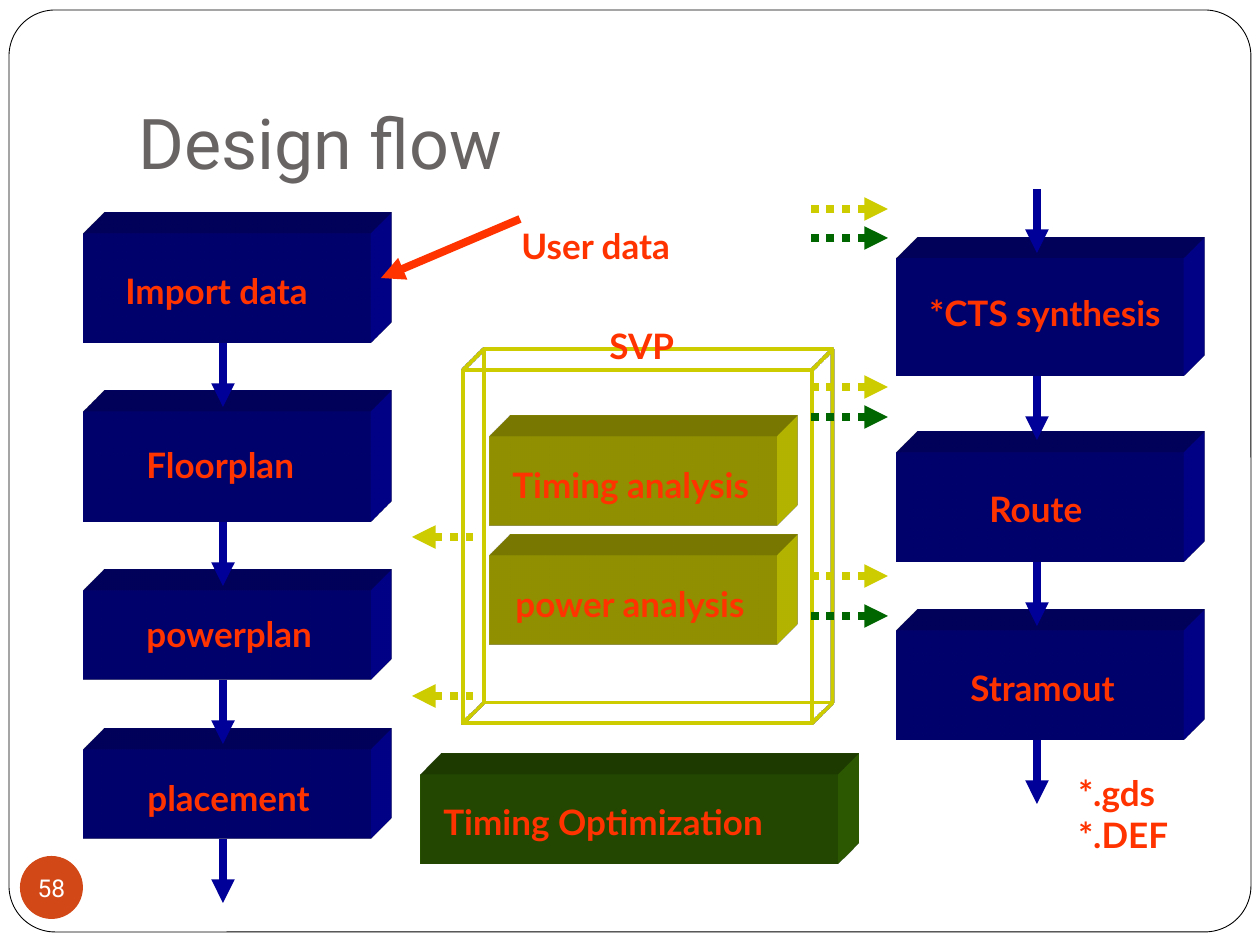
from dataclasses import dataclass

import pptx
import pptx.dml.color
import pptx.enum.dml
import pptx.enum.shapes
import pptx.enum.text
import pptx.oxml
import pptx.oxml.ns
import pptx.util
from lxml import etree

SCALE = 914400 / 126  # EMU per px
SHAPES = pptx.enum.shapes.MSO_SHAPE
ANCHOR = pptx.enum.text.MSO_ANCHOR
ALIGN = pptx.enum.text.PP_ALIGN


@dataclass(frozen=True)
class Theme:
    paper: str = "FFFFFF"
    ink: str = "000000"
    title: str = "696464"
    badge: str = "D34817"
    label: str = "FF3300"
    step: str = "000099"
    analysis: str = "CCCC00"
    optimization: str = "336600"
    feedback: str = "006600"
    title_font: str = "Roboto"
    label_font: str = "Lato"
    title_size: int = 40
    label_size: int = 20
    badge_size: int = 14


def px(length):
    return pptx.util.Emu(round(length * SCALE))


def rgb(color):
    return pptx.dml.color.RGBColor.from_string(color)


def write(frame, text, *, font, size, color, bold=False, align=ALIGN.LEFT,
          anchor=ANCHOR.TOP, wrap=False, margins=(0.1, 0.05, 0.1, 0.05)):
    frame.word_wrap = wrap
    frame.vertical_anchor = anchor
    (frame.margin_left, frame.margin_top, frame.margin_right,
     frame.margin_bottom) = map(pptx.util.Inches, margins)
    frame.text = text
    for paragraph in frame.paragraphs:
        paragraph.alignment = align
        paragraph.font.name = font
        paragraph.font.size = pptx.util.Pt(size)
        paragraph.font.bold = bold
        paragraph.font.color.rgb = rgb(color)


def extrude(shape, color, material):
    """Give the shape an oblique depth towards the top right."""
    namespace = pptx.oxml.ns.nsdecls("a")
    properties = shape.element.spPr
    properties.append(pptx.oxml.parse_xml(
        f'<a:scene3d {namespace}><a:camera prst="legacyObliqueTopRight"/>'
        '<a:lightRig rig="legacyFlat3" dir="b"/></a:scene3d>'))
    properties.append(pptx.oxml.parse_xml(
        f'<a:sp3d {namespace} extrusionH="430200" prstMaterial="{material}">'
        '<a:bevelT w="13500" h="13500" prst="angle"/>'
        '<a:bevelB w="13500" h="13500" prst="angle"/>'
        f'<a:extrusionClr><a:srgbClr val="{color}"/></a:extrusionClr></a:sp3d>'))


class FlowSlide:
    def __init__(self, slide, theme):
        self.slide = slide
        self.theme = theme

    def shape(self, kind, left, top, width, height, fill=None, line=None, line_width=1):
        shape = self.slide.shapes.add_shape(kind, px(left), px(top), px(width), px(height))
        shape.shadow.inherit = False
        if fill:
            shape.fill.solid()
            shape.fill.fore_color.rgb = rgb(fill)
        else:
            shape.fill.background()
        if line:
            shape.line.color.rgb = rgb(line)
            shape.line.width = pptx.util.Pt(line_width)
        else:
            shape.line.fill.background()
        return shape

    def title(self, text, left, top, width, height):
        title = self.slide.shapes.title
        title.left, title.top, title.width, title.height = map(px, (left, top, width, height))
        write(title.text_frame, text, font=self.theme.title_font,
              size=self.theme.title_size, color=self.theme.title,
              anchor=ANCHOR.BOTTOM, wrap=True, margins=(0.1, 0.05, 0.1, 0.1))

    def border(self, left, top, width, height):
        border = self.shape(SHAPES.ROUNDED_RECTANGLE, left, top, width, height,
                            self.theme.paper, self.theme.ink, 0.5)
        border.adjustments[0] = 0.05
        self.slide.shapes.title.element.addprevious(border.element)

    def badge(self, text, left, top, size):
        badge = self.shape(SHAPES.OVAL, left, top, size, size, self.theme.badge)
        write(badge.text_frame, text, font=self.theme.title_font,
              size=self.theme.badge_size, color=self.theme.paper,
              align=ALIGN.CENTER, anchor=ANCHOR.MIDDLE, margins=(0, 0, 0, 0))

    def block(self, left, top, width, height, color):
        block = self.shape(SHAPES.RECTANGLE, left, top, width, height, color)
        extrude(block, color, "legacyMatrix")

    def wireframe(self, left, top, width, height, color):
        frame = self.shape(SHAPES.RECTANGLE, left, top, width, height,
                           line=color, line_width=2.25)
        extrude(frame, color, "legacyWireframe")

    def label(self, text, left, top, width, height=54):
        box = self.slide.shapes.add_textbox(px(left), px(top), px(width), px(height))
        write(box.text_frame, text, font=self.theme.label_font,
              size=self.theme.label_size, color=self.theme.label, bold=True)
        box.text_frame.auto_size = pptx.enum.text.MSO_AUTO_SIZE.SHAPE_TO_FIT_TEXT

    def arrow(self, start, end, color, dotted=False, head="tailEnd"):
        arrow = self.slide.shapes.add_connector(
            pptx.enum.shapes.MSO_CONNECTOR.STRAIGHT, *map(px, start + end))
        arrow.line.color.rgb = rgb(color)
        arrow.line.width = pptx.util.Pt(4.5)
        if dotted:
            arrow.line.dash_style = pptx.enum.dml.MSO_LINE.ROUND_DOT
            # ROUND_DOT is written as sysDot
        line = arrow.line._get_or_add_ln()
        etree.SubElement(line, pptx.oxml.ns.qn(f"a:{head}"), type="triangle")
        etree.SubElement(arrow.element.spPr, pptx.oxml.ns.qn("a:effectLst"))


def main():
    presentation = pptx.Presentation()
    presentation.slide_width = pptx.util.Inches(10)
    presentation.slide_height = pptx.util.Inches(7.5)
    theme = Theme()
    flow = FlowSlide(presentation.slides.add_slide(presentation.slide_layouts[5]), theme)

    flow.border(9, 10, 1242, 922)
    flow.title("Design flow", 126, 38, 1071, 158)
    flow.badge("58", 20, 856, 63)

    block_width, arrow_length = 287, 64
    # column: block left, arrow x, then (text, block top, block height, label box)
    columns = (
        (84, 223, (("Import data", 233, 110, (113, 263, 215)),
                   ("Floorplan", 412, 110, (134, 437, 180)),
                   ("powerplan", 591, 89, (134, 606, 198)),
                   ("placement", 750, 89, (135, 770, 197)))),
        (897, 1037, (("*CTS synthesis", 258, 118, (917, 285, 261)),
                     ("Route", 452, 110, (977, 481, 121)),
                     ("Stramout", 630, 110, (958, 660, 175)))),
    )
    for left, arrow_x, steps in columns:
        for text, top, height, place in steps:
            flow.block(left, top, block_width, height, theme.step)
            flow.label(text, *place)
        for text, top, height, place in steps:
            bottom = top + height
            flow.arrow((arrow_x, bottom), (arrow_x, bottom + arrow_length), theme.step)
    flow.arrow((1037, 189), (1037, 189 + arrow_length), theme.step)
    flow.label("*.gds\n*.DEF", 1066, 765, 116, 97)

    for top in (437, 556):
        flow.block(490, top, block_width, 89, theme.analysis)
    flow.label("Timing analysis", 500, 457, 273)
    flow.label("power analysis", 503, 576, 266)
    flow.wireframe(461, 368, 353, 358, theme.analysis)
    flow.label("SVP", 597, 318, 96)

    flow.block(421, 775, 417, 89, theme.optimization)
    flow.label("Timing Optimization", 431, 794, 358)
    flow.label("User data", 509, 218, 180)
    flow.arrow((520, 219), (381, 278), theme.label)

    dotted_arrows = (
        (412, 481, theme.analysis, (537, 696)),
        (888, 808, theme.analysis, (209, 387, 576)),
        (888, 808, theme.feedback, (238, 417, 616)),
    )
    for tip, end, color, heights in dotted_arrows:
        for y in heights:
            flow.arrow((tip, y), (end, y), color, dotted=True, head="headEnd")

    presentation.save("out.pptx")


if __name__ == "__main__":
    main()
